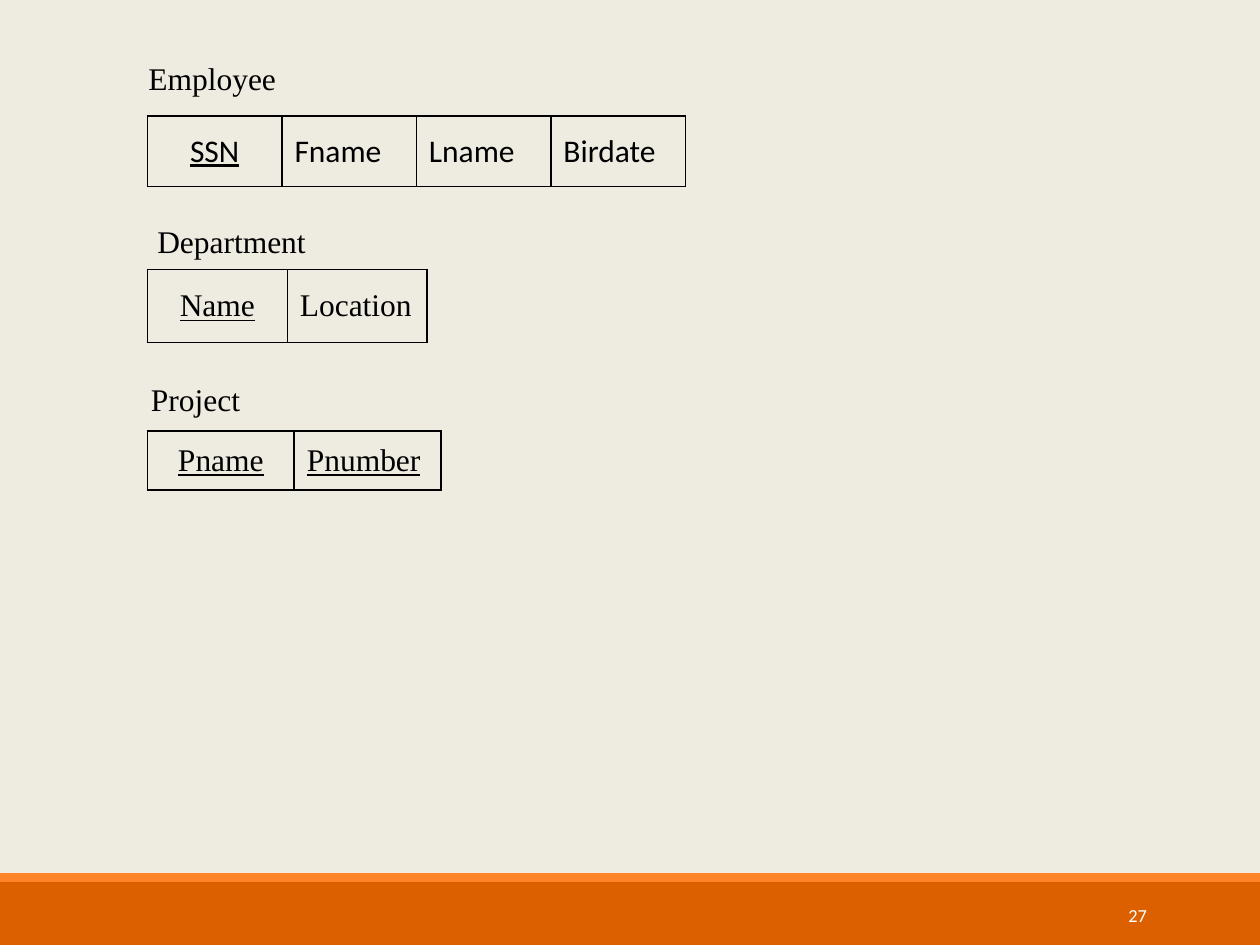
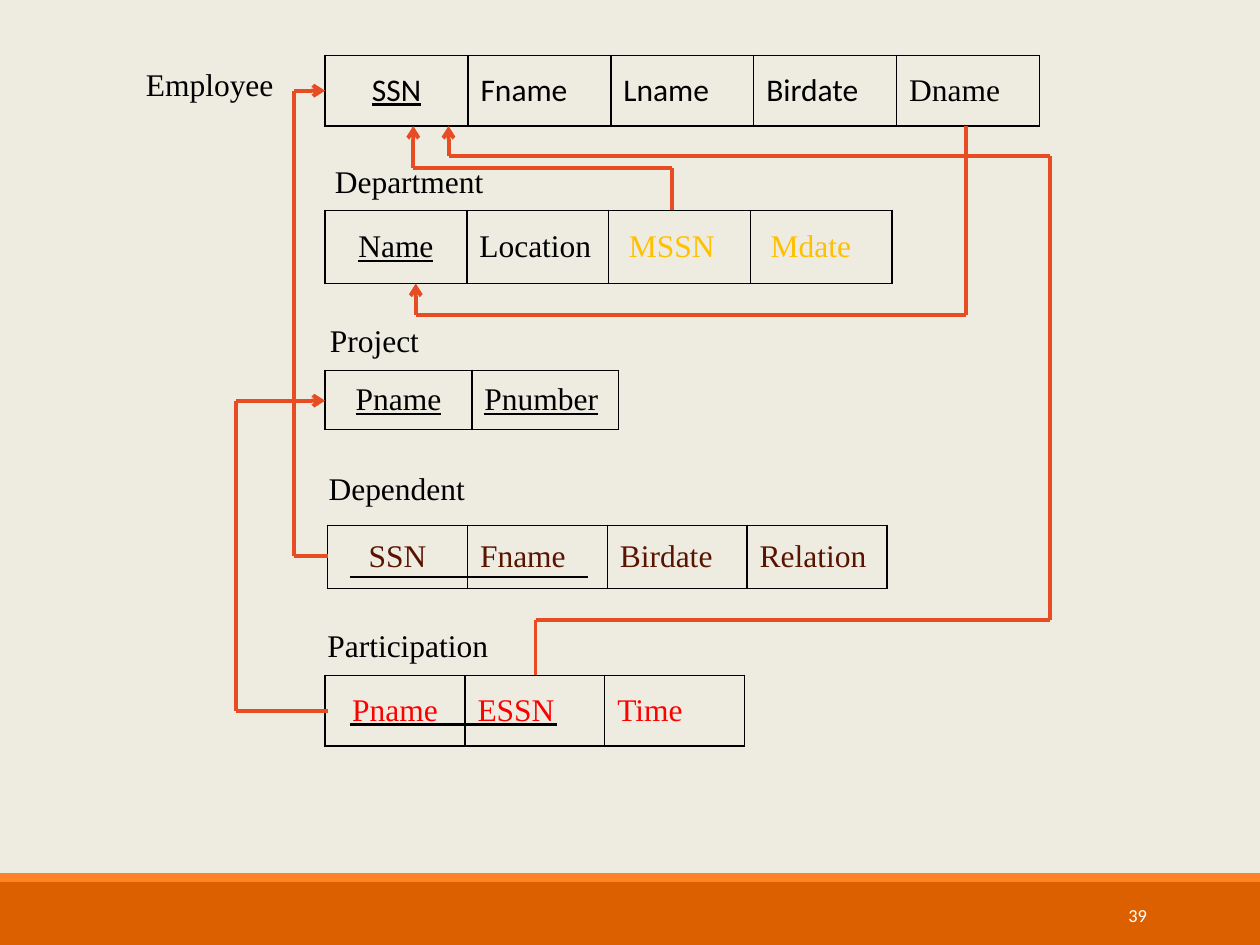
import pptx
import pptx.dml.color
import pptx.enum.shapes
import pptx.enum.text
import pptx.oxml
import pptx.oxml.ns
import pptx.util

RGBColor = pptx.dml.color.RGBColor
Inches = pptx.util.Inches
Pt = pptx.util.Pt
Align = pptx.enum.text.PP_ALIGN
Anchor = pptx.enum.text.MSO_ANCHOR

PAPER = RGBColor(0xEE, 0xEC, 0xE1)
BAND = RGBColor(0xDC, 0x5F, 0x00)
STRIP = RGBColor(0xFF, 0x84, 0x27)
BLACK = RGBColor(0, 0, 0)
WHITE = RGBColor(0xFF, 0xFF, 0xFF)
GOLD = RGBColor(0xFF, 0xC0, 0x00)
BROWN = RGBColor(0x59, 0x13, 0x00)
RED = RGBColor(0xFF, 0, 0)
ARROW = RGBColor(0xE8, 0x4C, 0x22)
SERIF = "Times New Roman"
SANS = "Calibri"
NS = pptx.oxml.ns.nsdecls("a")


def write(frame, text, font=SERIF, size=18, ink=BLACK, align=Align.LEFT, under=False):
    """Put one formatted paragraph in a text frame."""
    para = frame.paragraphs[0]
    para.alignment = align
    run = para.add_run()
    run.text = text
    run.font.name = font
    run.font.size = Pt(size)
    run.font.color.rgb = ink
    run.font.underline = under


def label(slide, text, left, top, width=1.56, **style):
    """Add a text box and return its frame."""
    box = slide.shapes.add_textbox(Inches(left), Inches(top), Inches(width), Inches(0.4))
    frame = box.text_frame
    frame.word_wrap = True
    write(frame, text, **style)
    return frame


def bar(slide, top, height, color):
    """Add a plain band across the slide."""
    shape = slide.shapes.add_shape(
        pptx.enum.shapes.MSO_SHAPE.RECTANGLE, 0, Inches(top), Inches(10), Inches(height))
    shape.shadow.inherit = False
    shape.fill.solid()
    shape.fill.fore_color.rgb = color
    shape.line.fill.background()


def page(deck, number):
    """Add a slide with its background, footer bands and number."""
    slide = deck.slides.add_slide(deck.slide_layouts[6])
    slide.background.fill.solid()
    slide.background.fill.fore_color.rgb = PAPER
    bar(slide, 7, 0.5, BAND)
    bar(slide, 6.93, 0.07, STRIP)
    frame = label(slide, str(number), 8.12, 7.06, 1.08,
                  font=SANS, size=10.5, ink=WHITE, align=Align.RIGHT)
    frame.vertical_anchor = Anchor.MIDDLE
    return slide


def frame_cell(cell):
    """Give a cell thin black borders and no fill."""
    props = cell._tc.get_or_add_tcPr()
    for side in "LRTB":
        props.append(pptx.oxml.parse_xml(
            f'<a:ln{side} {NS} w="12700"><a:solidFill><a:srgbClr val="{BLACK}"/>'
            f'</a:solidFill></a:ln{side}>'))
    cell.fill.background()
    cell.vertical_anchor = Anchor.MIDDLE


def fields(slide, names, left, top, width, height, keys=1, special=None, **style):
    """Draw a relation as a one-row table whose first keys are underlined."""
    table = slide.shapes.add_table(
        1, len(names), Inches(left), Inches(top), Inches(width), Inches(height)).table
    table.first_row = table.horz_banding = False
    for i, name in enumerate(names):
        table.columns[i].width = Inches(width / len(names))
        cell = table.cell(0, i)
        frame_cell(cell)
        look = {**style, **(special or {}).get(name, {})}
        write(cell.text_frame, name, under=i < keys,
              align=Align.LEFT if i else Align.CENTER, **look)


def route(slide, *points, ink=ARROW, weight=2.25, arrow=True):
    """Join points with straight connectors, with an arrowhead at the last."""
    for start, end in zip(points, points[1:]):
        line = slide.shapes.add_connector(
            pptx.enum.shapes.MSO_CONNECTOR.STRAIGHT, *map(Inches, start + end))
        line.line.color.rgb = ink
        line.line.width = Pt(weight)
        if arrow and end == points[-1]:
            line.line._get_or_add_ln().append(
                pptx.oxml.parse_xml(f'<a:tailEnd {NS} type="arrow"/>'))
        line._element.spPr.append(pptx.oxml.parse_xml(f'<a:effectLst {NS}/>'))


def rule(slide, left, right, top):
    """Underline a composite key."""
    route(slide, (left, top), (right, top), ink=BLACK, weight=1.5, arrow=False)


def draw_base(deck):
    """Draw the three entity relations."""
    slide = page(deck, 27)
    fields(slide, ["SSN", "Fname", "Lname", "Birdate"], 1.17, 0.92, 4.27, 0.56, font=SANS)
    fields(slide, ["Name", "Location"], 1.17, 2.14, 2.22, 0.58)
    fields(slide, ["Pname", "Pnumber"], 1.17, 3.42, 2.33, 0.47, keys=2)
    label(slide, "Employee", 1.08, 0.42)
    label(slide, "Department", 1.15, 1.71)
    label(slide, "Project", 1.1, 2.97)


def draw_links(deck):
    """Draw all relations with their foreign keys."""
    slide = page(deck, 39)
    gold = {"ink": GOLD}
    fields(slide, ["SSN", "Fname", "Lname", "Birdate", "Dname"], 2.58, 0.44, 5.67, 0.56,
           font=SANS, special={"Dname": {"font": SERIF}})
    fields(slide, ["Name", "Location", " MSSN", " Mdate"], 2.58, 1.67, 4.5, 0.58,
           special={" MSSN": gold, " Mdate": gold})
    fields(slide, ["Pname", "Pnumber"], 2.58, 2.94, 2.33, 0.47, keys=2)
    fields(slide, ["SSN", "Fname", "Birdate", "Relation"], 2.6, 4.17, 4.44, 0.5,
           keys=0, ink=BROWN)
    fields(slide, ["Pname", "ESSN", "Time"], 2.58, 5.36, 3.33, 0.56, keys=0, ink=RED)
    label(slide, "Employee", 1.06, 0.47)
    label(slide, "Department", 2.56, 1.24)
    label(slide, "Project", 2.52, 2.5)
    label(slide, "Dependent", 2.51, 3.67)
    label(slide, "Participation", 2.5, 4.92)
    rule(slide, 2.78, 4.67, 4.58)
    rule(slide, 2.78, 4.42, 5.75)
    route(slide, (5.33, 1.67), (5.33, 1.33), (3.28, 1.33), (3.28, 1))
    route(slide, (2.6, 4.41), (2.33, 4.41), (2.33, 0.72), (2.58, 0.72))
    route(slide, (7.67, 1), (7.67, 2.5), (3.3, 2.5), (3.3, 2.25))
    route(slide, (2.6, 5.64), (1.87, 5.64), (1.87, 3.18), (2.58, 3.18))
    route(slide, (4.25, 5.36), (4.25, 4.92), (8.33, 4.92), (8.33, 1.24),
          (3.56, 1.24), (3.56, 1))


def main():
    """Build and save the deck."""
    deck = pptx.Presentation()
    deck.slide_width = Inches(10)
    deck.slide_height = Inches(7.5)
    draw_base(deck)
    draw_links(deck)
    deck.save("out.pptx")


if __name__ == "__main__":
    main()
